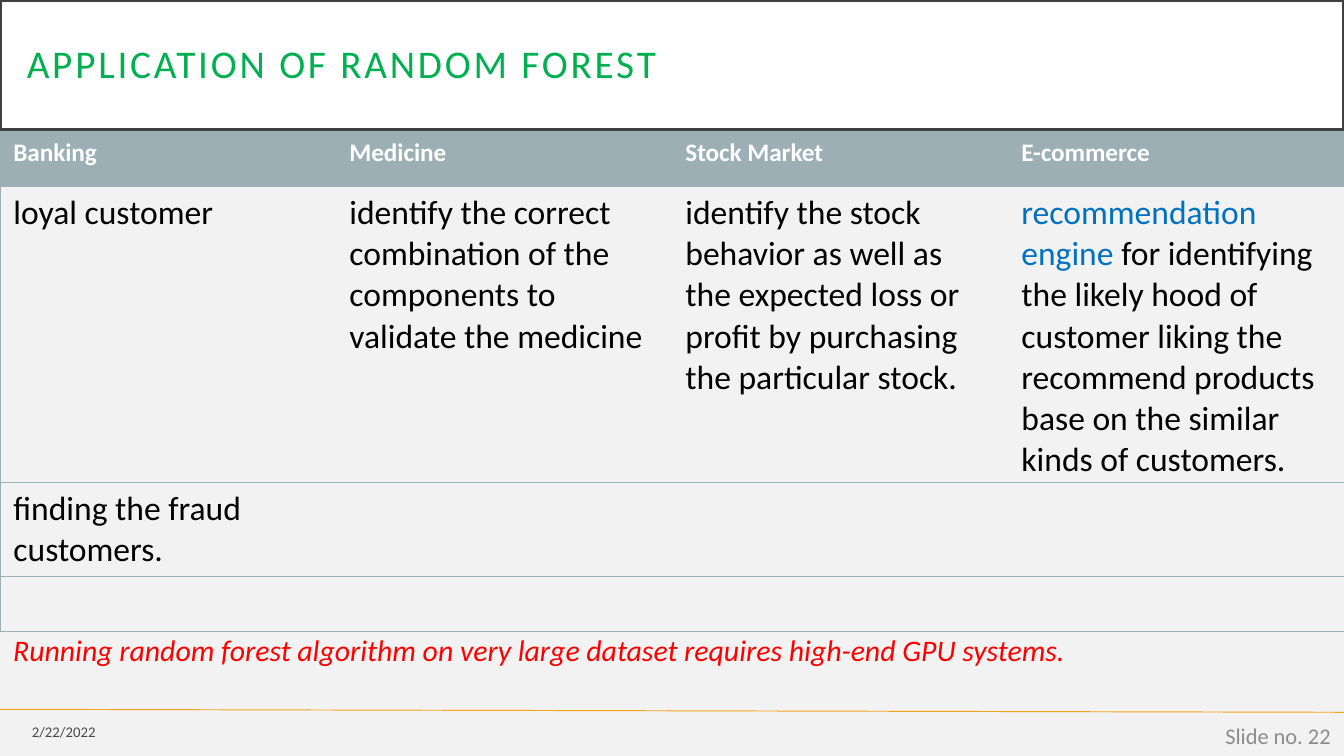
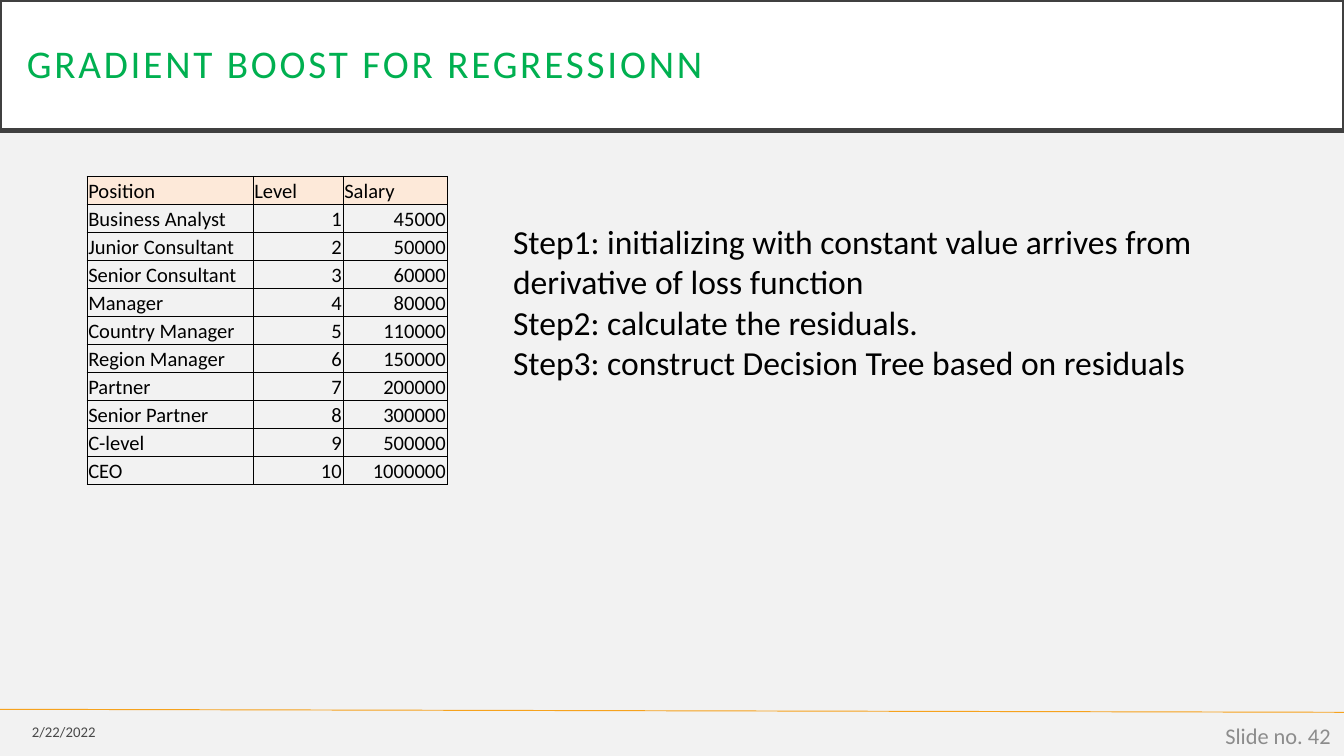
"""Build two slides on random forest applications and gradient boost regression."""
import pptx
import pptx.dml.color
import pptx.enum.shapes
import pptx.enum.text
import pptx.oxml.ns
import pptx.util
from lxml import etree

Pt = pptx.util.Pt
ALIGN = pptx.enum.text.PP_ALIGN
ANCHOR = pptx.enum.text.MSO_ANCHOR
FONT = "Calibri"
NO_STYLE = "{2D5ABB26-0587-4C30-8999-92F81FD0307C}"
COLORS = {
    "background": "F2F2F2", "band": "FFFFFF", "outline": "404040", "title": "00B050",
    "rule": "F6A21D", "header": "9BAFB5", "salary_header": "FDE9D9", "white": "FFFFFF",
    "text": "000000", "accent": "0070C0", "warning": "FF0000", "number": "8C8C8C",
}

DATE = "2/22/2022"
APPLICATIONS = [
    ("Banking", "Medicine", "Stock Market", "E-commerce"),
    ("loyal customer",
     "identify the correct combination of the components to validate the medicine",
     "identify the stock behavior as well as the expected loss or profit by purchasing "
     "the particular stock.",
     [("recommendation engine ", "accent"),
      ("for identifying the likely hood of customer liking the recommend products base on "
       "the similar kinds of customers.", "text")]),
    ("finding the fraud customers.", "", "", ""),
    ("", "", "", ""),
]
WARNING = "Running random forest algorithm on very large dataset requires high-end GPU systems."
SALARIES = [
    ("Position", "Level", "Salary"),
    ("Business Analyst", 1, 45000),
    ("Junior Consultant", 2, 50000),
    ("Senior Consultant", 3, 60000),
    ("Manager", 4, 80000),
    ("Country Manager", 5, 110000),
    ("Region Manager", 6, 150000),
    ("Partner", 7, 200000),
    ("Senior Partner", 8, 300000),
    ("C-level", 9, 500000),
    ("CEO", 10, 1000000),
]
STEPS = [
    "Step1: initializing with constant value arrives from derivative of loss function",
    "Step2: calculate the residuals.",
    "Step3: construct Decision Tree based on residuals",
]


def rgb(name):
    return pptx.dml.color.RGBColor.from_string(COLORS[name])


def add_element(parent, tag, **attributes):
    return etree.SubElement(parent, pptx.oxml.ns.qn(tag), attributes)


def add_run(paragraph, text, size, color, bold=False, italic=False):
    run = paragraph.add_run()
    run.text = text
    font = run.font
    font.name, font.size, font.bold, font.italic = FONT, Pt(size), bold, italic
    font.color.rgb = rgb(color)
    return run


def add_text(slide, box, lines, size, color, align=ALIGN.LEFT, anchor=ANCHOR.TOP, italic=False):
    shape = slide.shapes.add_textbox(*map(Pt, box))
    frame = shape.text_frame
    frame.word_wrap = True
    frame.vertical_anchor = anchor
    for index, line in enumerate(lines):
        paragraph = frame.add_paragraph() if index else frame.paragraphs[0]
        paragraph.alignment = align
        add_run(paragraph, line, size, color, italic=italic)
    return shape


def add_slide(presentation, title, number):
    slide = presentation.slides.add_slide(presentation.slide_layouts[6])
    slide.background.fill.solid()
    slide.background.fill.fore_color.rgb = rgb("background")

    rule = slide.shapes.add_connector(
        pptx.enum.shapes.MSO_CONNECTOR.STRAIGHT, Pt(0), Pt(380), Pt(720), Pt(381.6))
    rule.line.color.rgb = rgb("rule")
    rule.line.width = Pt(0.5)
    add_element(rule._element.spPr, "a:effectLst")

    band = slide.shapes.add_shape(
        pptx.enum.shapes.MSO_SHAPE.RECTANGLE, Pt(0), Pt(0), Pt(720), Pt(70))
    band.shadow.inherit = False
    band.fill.solid()
    band.fill.fore_color.rgb = rgb("band")
    band.line.color.rgb = rgb("outline")
    band.line.width = Pt(2.5)
    frame = band.text_frame
    frame.word_wrap = True
    frame.vertical_anchor = ANCHOR.MIDDLE
    frame.margin_left = frame.margin_right = frame.margin_top = frame.margin_bottom = Pt(14.4)
    paragraph = frame.paragraphs[0]
    paragraph.alignment = ALIGN.LEFT
    paragraph.line_spacing = 0.9
    run = add_run(paragraph, title, 21, "title")
    run.font._element.set("spc", "150")

    date = add_text(slide, (0, 382.4, 58.3, 19.4), [DATE], 7.9, "text", ALIGN.RIGHT, ANCHOR.MIDDLE)
    date_font = date.text_frame.paragraphs[0].runs[0].font._element
    add_element(date_font.find(".//" + pptx.oxml.ns.qn("a:srgbClr")), "a:alpha", val="70000")
    add_text(slide, (558, 383.4, 162, 21.6), [f"Slide no. {number}"], 12, "number",
             ALIGN.RIGHT, ANCHOR.MIDDLE)
    return slide


def set_borders(cell, sides, color):
    properties = cell._tc.get_or_add_tcPr()
    for side in sides:
        line = add_element(properties, f"a:ln{side}", w=str(Pt(0.5)))
        fill = add_element(line, "a:solidFill")
        add_element(fill, "a:srgbClr", val=COLORS[color])


def add_table(slide, left, top, widths, row_height, rows):
    frame = slide.shapes.add_table(len(rows), len(widths), Pt(left), Pt(top),
                                   Pt(sum(widths)), Pt(row_height * len(rows)))
    table = frame.table
    table.horz_banding = False
    table._tbl.tblPr.find(pptx.oxml.ns.qn("a:tableStyleId")).text = NO_STYLE
    for column, width in zip(table.columns, widths):
        column.width = Pt(width)
    for row in table.rows:
        row.height = Pt(row_height)
    return table


def fill_cell(cell, is_header, header_color):
    if is_header:
        cell.fill.solid()
        cell.fill.fore_color.rgb = rgb(header_color)
    else:
        cell.fill.background()


def add_applications(slide):
    table = add_table(slide, 0, 70.3, [180] * 4, 29.5, APPLICATIONS)
    for row, values in enumerate(APPLICATIONS):
        is_header = row == 0
        for column, value in enumerate(values):
            cell = table.cell(row, column)
            sides = ["L"] * (column == 0) + ["R"] * (column == 3) + ["T", "B"]
            set_borders(cell, sides, "header")
            fill_cell(cell, is_header, "header")
            color = "white" if is_header else "text"
            parts = [(value, color)] if isinstance(value, str) else value
            for text, part_color in parts:
                if text:
                    add_run(cell.text_frame.paragraphs[0], text, 13.5 if is_header else 18,
                            part_color, bold=is_header)


def add_salaries(slide):
    table = add_table(slide, 46.6, 94.4, [89, 48.2, 55.8], 15, SALARIES)
    for row, values in enumerate(SALARIES):
        for column, value in enumerate(values):
            cell = table.cell(row, column)
            cell.vertical_anchor = ANCHOR.BOTTOM
            cell.margin_left = cell.margin_right = cell.margin_top = Pt(0.7)
            cell.margin_bottom = Pt(0)
            set_borders(cell, "LRTB", "text")
            fill_cell(cell, row == 0, "salary_header")
            paragraph = cell.text_frame.paragraphs[0]
            paragraph.alignment = ALIGN.RIGHT if isinstance(value, int) else ALIGN.LEFT
            add_run(paragraph, str(value), 11, "text")


def main():
    presentation = pptx.Presentation()
    presentation.slide_width, presentation.slide_height = Pt(720), Pt(405)

    slide = add_slide(presentation, "APPLICATION OF RANDOM FOREST", 22)
    add_applications(slide)
    add_text(slide, (0, 335, 700.6, 26.6), [WARNING], 16, "warning", italic=True)

    slide = add_slide(presentation, "GRADIENT BOOST FOR REGRESSIONN", 42)
    add_salaries(slide)
    steps = add_text(slide, (267.8, 92.9, 441.4, 116.6), STEPS, 18, "text")
    steps.text_frame.margin_top = Pt(25.4)

    presentation.save("out.pptx")


if __name__ == "__main__":
    main()
